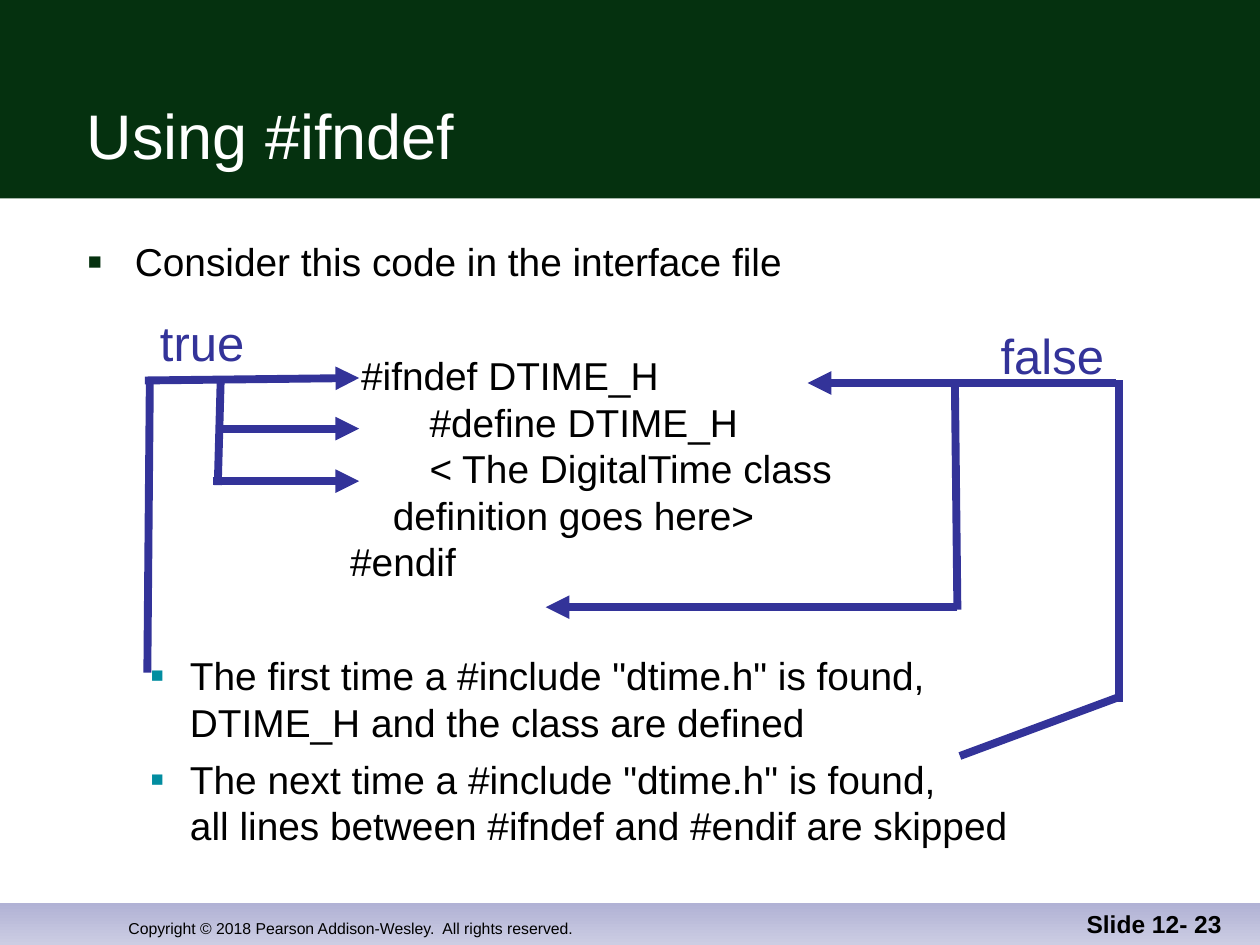
from lxml import etree
from pptx import Presentation
from pptx.dml.color import RGBColor
from pptx.enum.shapes import MSO_CONNECTOR, MSO_SHAPE
from pptx.enum.text import MSO_ANCHOR, PP_ALIGN
from pptx.oxml.ns import qn
from pptx.util import Cm, Pt

STRAIGHT = MSO_CONNECTOR.STRAIGHT
RECTANGLE = MSO_SHAPE.RECTANGLE
TOP, BOTTOM = MSO_ANCHOR.TOP, MSO_ANCHOR.BOTTOM
LEFT, CENTER, RIGHT = PP_ALIGN.LEFT, PP_ALIGN.CENTER, PP_ALIGN.RIGHT

FONT = "Arial"
COLORS = {
    "header": "05310F",
    "footer_top": "B1B2D5",
    "footer_bottom": "CCCDE3",
    "title": "FFFFFF",
    "text": "000000",
    "flow": "333399",
    "sub_bullet": "028DA0",
}

TOP_BULLET = {"margin": 0.95, "hang": 0.95, "color": "header", "size": 60}
SUB_BULLET = {"margin": 2.06, "hang": 0.79, "color": "sub_bullet", "size": 55}
BLOCK_GAP = 38.6
BODY = [
    ("Consider this code in the interface file", TOP_BULLET, 0),
    ("#ifndef DTIME_H", {"margin": 5.51}, BLOCK_GAP),
    ("#define DTIME_H", {"margin": 6.89}, 0),
    ("< The DigitalTime class", {"margin": 6.89}, 0),
    ("definition goes here>", {"margin": 6.15}, 0),
    ("#endif", {"margin": 5.29}, 0),
    ('The first time a #include "dtime.h" is found,\vDTIME_H and the class are defined',
     SUB_BULLET, BLOCK_GAP),
    ('The next time a #include "dtime.h" is found,\vall lines between #ifndef and #endif are skipped',
     SUB_BULLET, 6),
]

TRUE_FLOW = [
    (2.97, 13.56, 3.02, 7.72, False),
    (2.92, 7.67, 7.24, 7.62, True),
    (4.45, 7.62, 4.39, 9.78, False),
    (4.39, 8.64, 7.24, 8.64, True),
    (4.29, 9.7, 7.24, 9.7, True),
]
FALSE_FLOW = [
    (19.35, 15.24, 22.56, 14.05, False),
    (22.56, 14.15, 22.56, 7.67, False),
    (22.5, 7.72, 16.28, 7.72, True),
    (19.25, 7.77, 19.3, 12.29, False),
    (19.3, 12.24, 11, 12.24, True),
]


def rgb(name):
    """Return the named colour."""
    return RGBColor.from_string(COLORS[name])


def apply(target, values):
    """Set each attribute in values on the target."""
    for name, value in values.items():
        setattr(target, name, value)


def style_font(font, size, color="text", bold=False):
    """Give a font its face, size, weight and colour."""
    apply(font, {"name": FONT, "size": Pt(size), "bold": bold})
    font.color.rgb = rgb(color)


def add_band(page, top, height):
    """Add a full-width band without line or shadow."""
    band = page.shapes.add_shape(RECTANGLE, 0, Cm(top), Cm(25.4), Cm(height))
    band.shadow.inherit = False
    band.line.fill.background()
    return band


def add_box(page, place, anchor=TOP, wrap=True):
    """Add an empty text box and return its frame."""
    frame = page.shapes.add_textbox(*map(Cm, place)).text_frame
    apply(frame, {"word_wrap": wrap, "vertical_anchor": anchor})
    return frame


def add_label(page, text, place, size, color="text", align=LEFT,
              anchor=BOTTOM, wrap=True, bold=False):
    """Add a text box with one line of text."""
    para = add_box(page, place, anchor, wrap).paragraphs[0]
    apply(para, {"text": text, "alignment": align})
    style_font(para.font, size, color, bold)


def set_indent(para, margin, hang=0, color=None, size=100):
    """Indent a paragraph and give it a square bullet when it has a colour."""
    props = para._p.get_or_add_pPr()
    props.set("marL", str(Cm(margin)))
    props.set("indent", str(-Cm(hang)))
    if color is None:
        etree.SubElement(props, qn("a:buNone"))
        return
    bullet_color = etree.SubElement(props, qn("a:buClr"))
    etree.SubElement(bullet_color, qn("a:srgbClr"), val=COLORS[color])
    etree.SubElement(props, qn("a:buSzPct"), val=str(size * 1000))
    etree.SubElement(props, qn("a:buFont"), typeface=FONT)
    etree.SubElement(props, qn("a:buChar"), char="■")


def add_body(page):
    """Add the bullets and the indented code lines."""
    frame = add_box(page, (1.52, 4.67, 23.04, 12.7))
    frame.margin_right = 0
    for index, (text, indent, gap) in enumerate(BODY):
        para = frame.add_paragraph() if index else frame.paragraphs[0]
        set_indent(para, **indent)
        apply(para, {"text": text, "line_spacing": Pt(26.6), "space_before": Pt(gap)})
        style_font(para.font, 22.2)


def add_flow(page, segments):
    """Draw the segments of a flow, with arrowheads where asked."""
    for left, top, right, bottom, arrow in segments:
        line = page.shapes.add_connector(STRAIGHT, *map(Cm, (left, top, right, bottom)))
        line.line.color.rgb = rgb("flow")
        line.line.width = Pt(4.5)
        if arrow:
            etree.SubElement(line.line._get_or_add_ln(), qn("a:tailEnd"), type="triangle")
        etree.SubElement(line._element.spPr, qn("a:effectLst"))


def add_bands(page):
    """Add the header band and the shaded footer band."""
    header = add_band(page, 0, 4)
    header.fill.solid()
    header.fill.fore_color.rgb = rgb("header")
    footer = add_band(page, 18.21, 0.84)
    footer.fill.gradient()
    footer.fill.gradient_angle = 270
    for stop, name in zip(footer.fill.gradient_stops, ("footer_top", "footer_bottom")):
        stop.color.rgb = rgb(name)


def main():
    """Build the slide and save it."""
    deck = Presentation()
    apply(deck, {"slide_width": Cm(25.4), "slide_height": Cm(19.05)})
    page = deck.slides.add_slide(deck.slide_layouts[6])
    add_bands(page)
    add_label(page, "Copyright © 2018 Pearson Addison-Wesley.  All rights reserved.",
              (2.34, 17.76, 12.5, 1.27), 9)
    add_label(page, "Using #ifndef", (1.5, 0.82, 23.06, 2.77), 36, "title")
    add_body(page)
    add_label(page, "Slide 12- 23", (19.6, 17.78, 5.28, 1.27), 14, align=RIGHT, bold=True)
    for text, place, flow in (
        ("true", (2.97, 6.17, 2.21, 1.45), TRUE_FLOW),
        ("false", (19.92, 6.43, 2.59, 1.45), FALSE_FLOW),
    ):
        add_flow(page, flow)
        add_label(page, text, place, 28, "flow", CENTER, TOP, wrap=False)
    deck.save("out.pptx")


if __name__ == "__main__":
    main()
